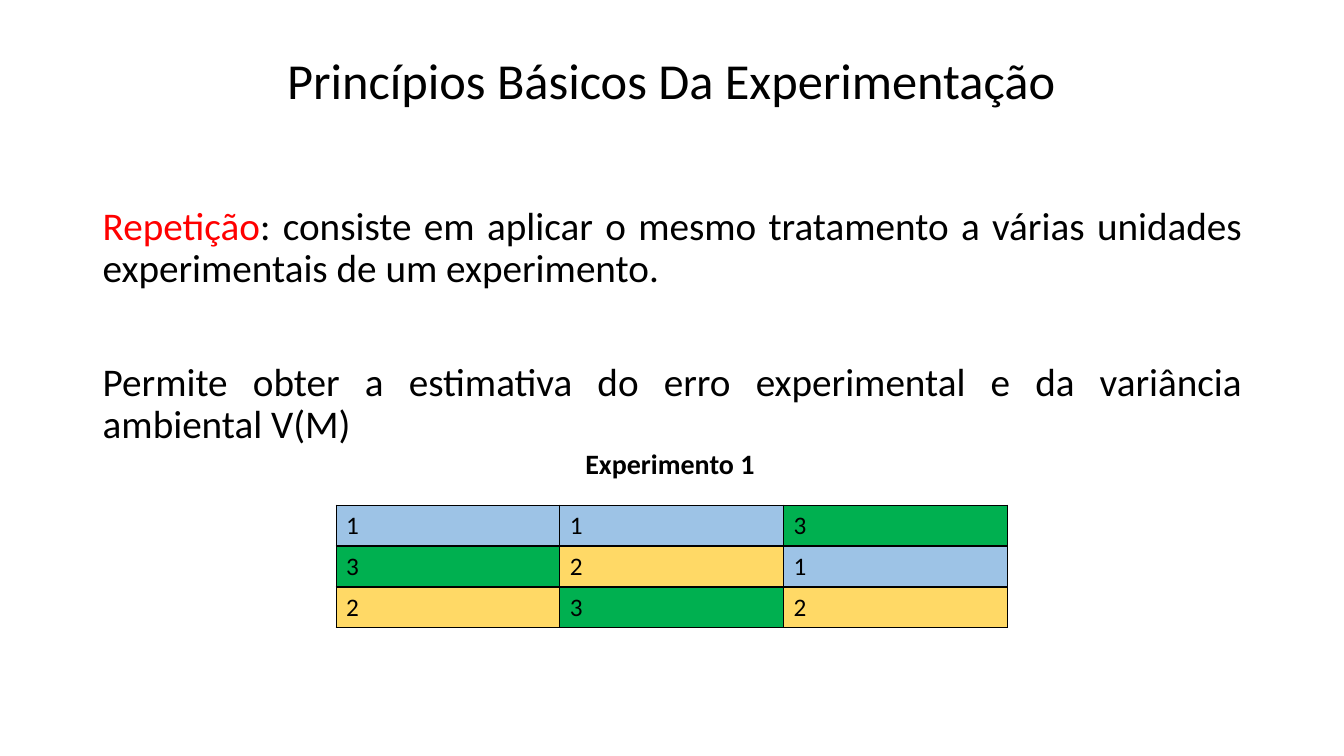
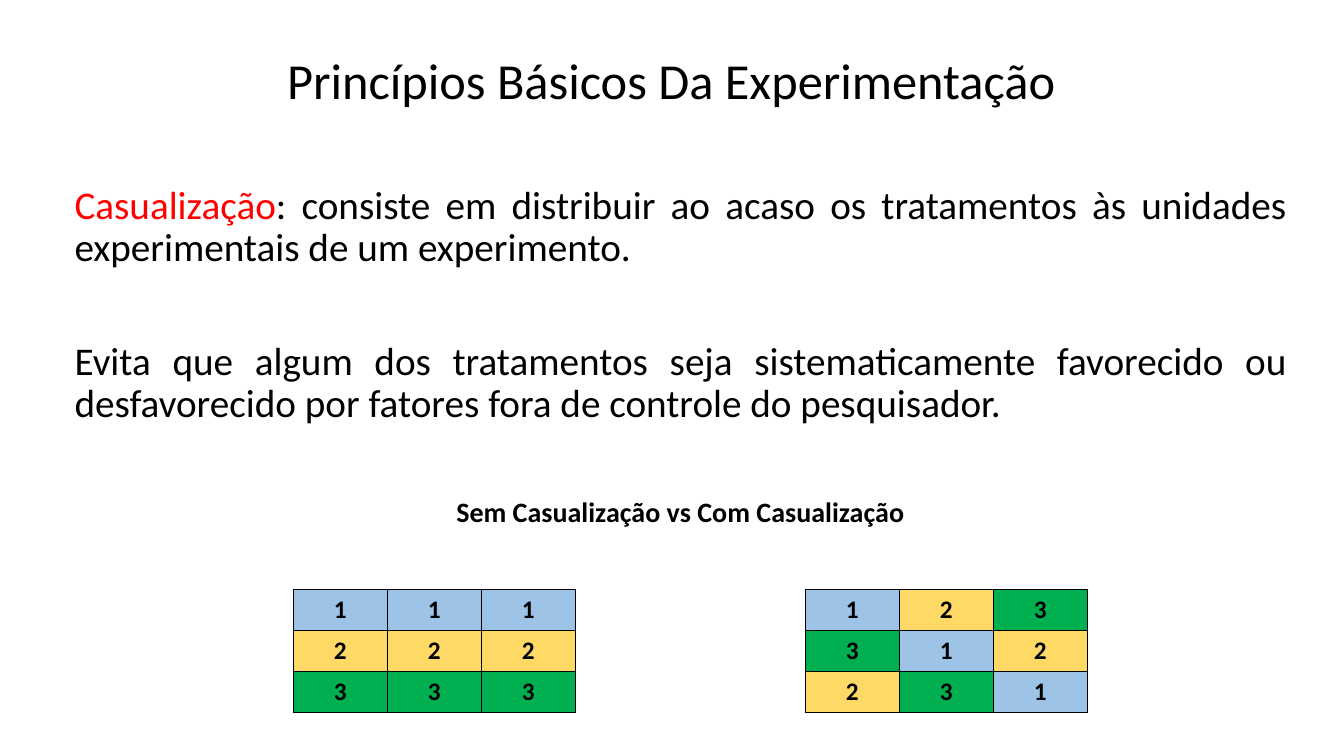
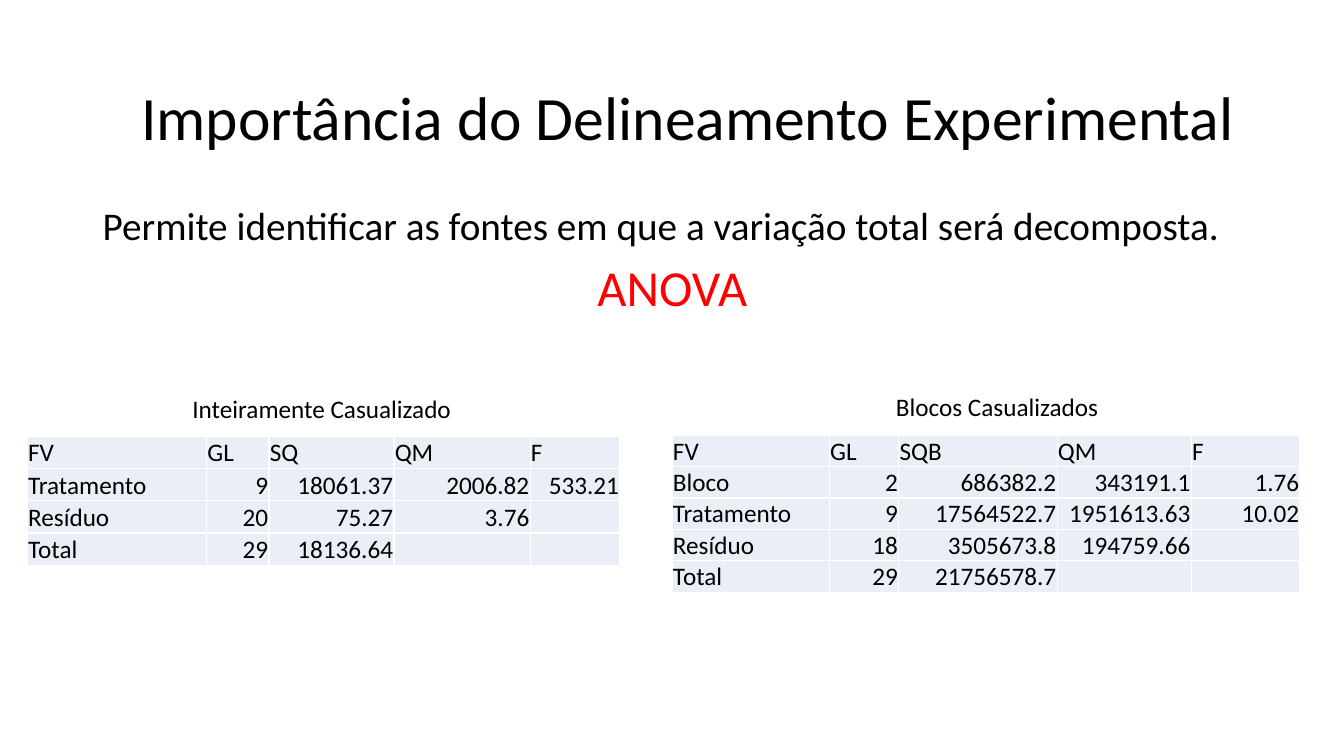
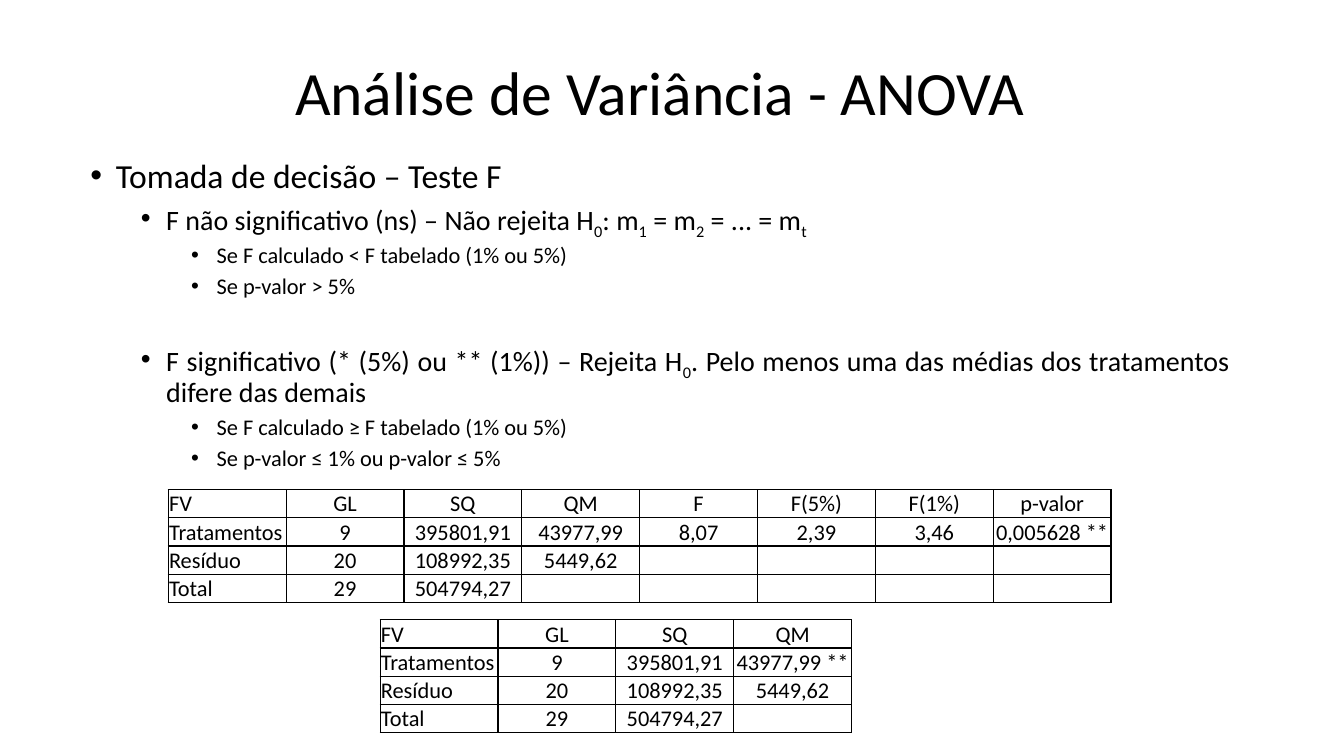
import lxml.etree
import pptx
import pptx.dml.color
import pptx.enum.text
import pptx.oxml.ns
import pptx.util

Cm, Pt = pptx.util.Cm, pptx.util.Pt
qn = pptx.oxml.ns.qn
ALIGN = pptx.enum.text.PP_ALIGN
ANCHOR = pptx.enum.text.MSO_ANCHOR
AUTO_SIZE = pptx.enum.text.MSO_AUTO_SIZE

FONT = "Calibri"
BLACK, WHITE, RED = "000000", "FFFFFF", "FF0000"
PLOT_FILLS = {"1": "9DC3E6", "2": "FFD966", "3": "00B050"}
LINE_SPACING = 0.9

# Alignments are those of the first column, the header row and the other cells.
PLOTS = dict(size=18, bold=False, fills=PLOT_FILLS, fill=None, border=BLACK, anchor=ANCHOR.TOP,
             margins=(0.25, 0.13, 0.25, 0.13), align=(ALIGN.LEFT, ALIGN.LEFT, ALIGN.LEFT))
BOLD_PLOTS = dict(PLOTS, bold=True, align=(ALIGN.CENTER, ALIGN.CENTER, ALIGN.CENTER))
SHADED = dict(size=18, bold=False, fills={}, fill="EAEFF7", border=WHITE, anchor=ANCHOR.BOTTOM,
              margins=(0.02, 0.02, 0.02, 0), align=(ALIGN.LEFT, ALIGN.LEFT, ALIGN.RIGHT))
RULED = dict(SHADED, size=16, fill=None, border=BLACK, anchor=ANCHOR.MIDDLE,
             align=(ALIGN.LEFT, ALIGN.CENTER, ALIGN.CENTER))

PRINCIPLES = ("Princípios Básicos Da Experimentação", 36, (5.97, 0.25, 21.9, 3.68))

# Body paragraphs: bullet level or None, alignment, size, space before, runs (text, kind).
# Labels: left, top, width, size, bold, text.
# Tables: style, left, top, row height, column widths, rows.
slides = [
    dict(
        title=PRINCIPLES,
        body_box=(2.34, 5.08, 29.21, 12.09),
        body=[
            (None, ALIGN.JUSTIFY, 28, 0, [
                ("Repetição", "red"),
                (": consiste em aplicar o mesmo tratamento a várias unidades experimentais "
                 "de um experimento.", "")]),
            (None, ALIGN.JUSTIFY, 28, 51, [
                ("Permite obter a estimativa do erro experimental e da variância ambiental V(M)", "")]),
        ],
        labels=[(14.5, 11.13, 4.83, 20, True, "Experimento 1")],
        tables=[(PLOTS, 8.47, 12.73, 1.03, [5.64] * 3, ["113", "321", "232"])],
    ),
    dict(
        title=PRINCIPLES,
        body_box=(1.63, 4.55, 31.04, 12.09),
        body=[
            (None, ALIGN.JUSTIFY, 28, 0, [
                ("Casualização", "red"),
                (": consiste em distribuir ao acaso os tratamentos às unidades experimentais "
                 "de um experimento.", "")]),
            (None, ALIGN.JUSTIFY, 28, 51, [
                ("Evita que algum dos tratamentos seja sistematicamente favorecido ou "
                 "desfavorecido por fatores fora de controle do pesquisador.", "")]),
        ],
        labels=[(11.25, 12.34, 11.91, 20, True, "Sem Casualização vs Com Casualização")],
        tables=[
            (BOLD_PLOTS, 7.39, 14.86, 1.03, [2.37] * 3, ["111", "222", "333"]),
            (BOLD_PLOTS, 20.29, 14.86, 1.03, [2.37] * 3, ["123", "312", "231"]),
        ],
    ),
    dict(
        title=("Importância do Delineamento Experimental", 44, (2.74, 1.19, 29.21, 3.68)),
        body_box=(2.34, 5.08, 29.21, 12.09),
        body=[
            (None, ALIGN.JUSTIFY, 28, 0, [
                ("Permite identificar as fontes em que a variação total será decomposta.", "")]),
            (None, ALIGN.CENTER, 36, 10, [("ANOVA", "red")]),
        ],
        labels=[
            (4.6, 9.78, 7.11, 18, False, "Inteiramente Casualizado"),
            (22.33, 9.73, 5.66, 18, False, "Blocos Casualizados"),
        ],
        tables=[
            (SHADED, 0.69, 11, 0.81, [4.52, 1.57, 3.15, 3.43, 2.26], [
                ["FV", "GL", "SQ", "QM", "F"],
                ["Tratamento", "9", "18061.37", "2006.82", "533.21"],
                ["Resíduo", "20", "75.27", "3.76", ""],
                ["Total", "29", "18136.64", "", ""]]),
            (SHADED, 16.94, 10.97, 0.79, [3.96, 1.75, 3.99, 3.38, 2.74], [
                ["FV", "GL", "SQB", "QM", "F"],
                ["Bloco", "2", "686382.2", "343191.1", "1.76"],
                ["Tratamento", "9", "17564522.7", "1951613.63", "10.02"],
                ["Resíduo", "18", "3505673.8", "194759.66", ""],
                ["Total", "29", "21756578.7", "", ""]]),
        ],
    ),
    dict(
        title=("Análise de Variância - ANOVA", 44, (2.03, 0.58, 29.21, 3.68)),
        body_box=(2.03, 3.89, 29.21, 14),
        body=[
            (0, ALIGN.JUSTIFY, 24, 0, [("Tomada de decisão – Teste F", "")]),
            (1, ALIGN.JUSTIFY, 20, 5, [
                ("F não significativo (ns) – Não rejeita H", ""), ("0", "sub"),
                (": m", ""), ("1", "sub"), (" = m", ""), ("2", "sub"),
                (" = ... = m", ""), ("t", "sub")]),
            (2, ALIGN.JUSTIFY, 16, 5, [("Se F calculado < F tabelado (1% ou 5%)", "")]),
            (2, ALIGN.JUSTIFY, 16, 5, [("Se p-valor > 5%", "")]),
            (1, ALIGN.JUSTIFY, 20, 32, [
                ("F significativo (* (5%) ou ** (1%)) – Rejeita H", ""), ("0", "sub"),
                (". Pelo menos uma das médias dos tratamentos difere das demais", "")]),
            (2, ALIGN.JUSTIFY, 16, 5, [("Se F calculado ≥ F tabelado (1% ou 5%)", "")]),
            (2, ALIGN.JUSTIFY, 16, 5, [("Se p-valor ≤ 1% ou p-valor ≤ 5%", "")]),
        ],
        labels=[],
        tables=[
            (RULED, 4.24, 12.34, 0.71, [2.97] * 8, [
                ["FV", "GL", "SQ", "QM", "F", "F(5%)", "F(1%)", "p-valor"],
                ["Tratamentos", "9", "395801,91", "43977,99", "8,07", "2,39", "3,46", "0,005628 **"],
                ["Resíduo", "20", "108992,35", "5449,62", "", "", "", ""],
                ["Total", "29", "504794,27", "", "", "", "", ""]]),
            (RULED, 9.58, 15.62, 0.71, [2.97] * 4, [
                ["FV", "GL", "SQ", "QM"],
                ["Tratamentos", "9", "395801,91", "43977,99 **"],
                ["Resíduo", "20", "108992,35", "5449,62"],
                ["Total", "29", "504794,27", ""]]),
        ],
    ),
]


def color(hex_code):
    return pptx.dml.color.RGBColor.from_string(hex_code)


def add_runs(paragraph, runs, size, bold=False):
    """Add (text, kind) runs; kind is "red", "sub" for subscript, or empty."""
    for text, kind in runs:
        run = paragraph.add_run()
        run.text = text
        run.font.name = FONT
        run.font.size = Pt(size)
        run.font.bold = bold
        run.font.color.rgb = color(RED if kind == "red" else BLACK)
        if kind == "sub":
            run._r.get_or_add_rPr().set("baseline", "-25000")


presentation = pptx.Presentation()
presentation.slide_width = Cm(33.87)
presentation.slide_height = Cm(19.05)
title_only = presentation.slide_layouts[5]

for content in slides:
    slide = presentation.slides.add_slide(title_only)

    title_text, title_size, title_box = content["title"]
    title = slide.shapes.title
    title.left, title.top, title.width, title.height = map(Cm, title_box)
    title.text_frame.auto_size = AUTO_SIZE.NONE
    title.text_frame.vertical_anchor = ANCHOR.MIDDLE
    paragraph = title.text_frame.paragraphs[0]
    paragraph.alignment = ALIGN.CENTER
    paragraph.line_spacing = LINE_SPACING
    add_runs(paragraph, [(title_text, "")], title_size)

    body = slide.shapes.add_textbox(*map(Cm, content["body_box"])).text_frame
    body.word_wrap = True
    for index, (level, alignment, size, space, runs) in enumerate(content["body"]):
        paragraph = body.add_paragraph() if index else body.paragraphs[0]
        if level is not None:
            paragraph.level = level
            properties = paragraph._p.get_or_add_pPr()
            properties.set("marL", str(Cm(0.64 + 1.27 * level)))
            properties.set("indent", str(Cm(-0.64)))
            lxml.etree.SubElement(properties, qn("a:buFont"), typeface="Arial")
            lxml.etree.SubElement(properties, qn("a:buChar"), char="•")
        paragraph.alignment = alignment
        paragraph.line_spacing = LINE_SPACING
        paragraph.space_before = Pt(space)
        add_runs(paragraph, runs, size)

    for left, top, width, size, bold, text in content["labels"]:
        label = slide.shapes.add_textbox(Cm(left), Cm(top), Cm(width), Cm(1)).text_frame
        label.word_wrap = False
        label.auto_size = AUTO_SIZE.SHAPE_TO_FIT_TEXT
        add_runs(label.paragraphs[0], [(text, "")], size, bold)

    for style, left, top, row_height, column_widths, rows in content["tables"]:
        table = slide.shapes.add_table(
            len(rows), len(column_widths), Cm(left), Cm(top),
            Cm(sum(column_widths)), Cm(row_height * len(rows))).table
        table.first_row = False
        table.horz_banding = False
        for column, width in zip(table.columns, column_widths):
            column.width = Cm(width)
        first_column, header, other = style["align"]

        for row_index, row in enumerate(rows):
            table.rows[row_index].height = Cm(row_height)
            for column_index, text in enumerate(row):
                cell = table.cell(row_index, column_index)
                cell.margin_left, cell.margin_top, cell.margin_right, cell.margin_bottom = map(
                    Cm, style["margins"])
                cell.vertical_anchor = style["anchor"]

                paragraph = cell.text_frame.paragraphs[0]
                paragraph.alignment = (
                    first_column if column_index == 0 else header if row_index == 0 else other)
                if text:
                    add_runs(paragraph, [(text, "")], style["size"], style["bold"])
                else:
                    lxml.etree.SubElement(
                        paragraph._p, qn("a:endParaRPr"), sz=str(style["size"] * 100))

                cell_properties = cell._tc.get_or_add_tcPr()
                for side in ("a:lnL", "a:lnR", "a:lnT", "a:lnB"):
                    border = lxml.etree.SubElement(cell_properties, qn(side), w=str(Pt(1)))
                    border_fill = lxml.etree.SubElement(border, qn("a:solidFill"))
                    lxml.etree.SubElement(border_fill, qn("a:srgbClr"), val=style["border"])
                fill = style["fills"].get(text, style["fill"])
                if fill:
                    cell.fill.solid()
                    cell.fill.fore_color.rgb = color(fill)
                else:
                    cell.fill.background()

presentation.save("out.pptx")
